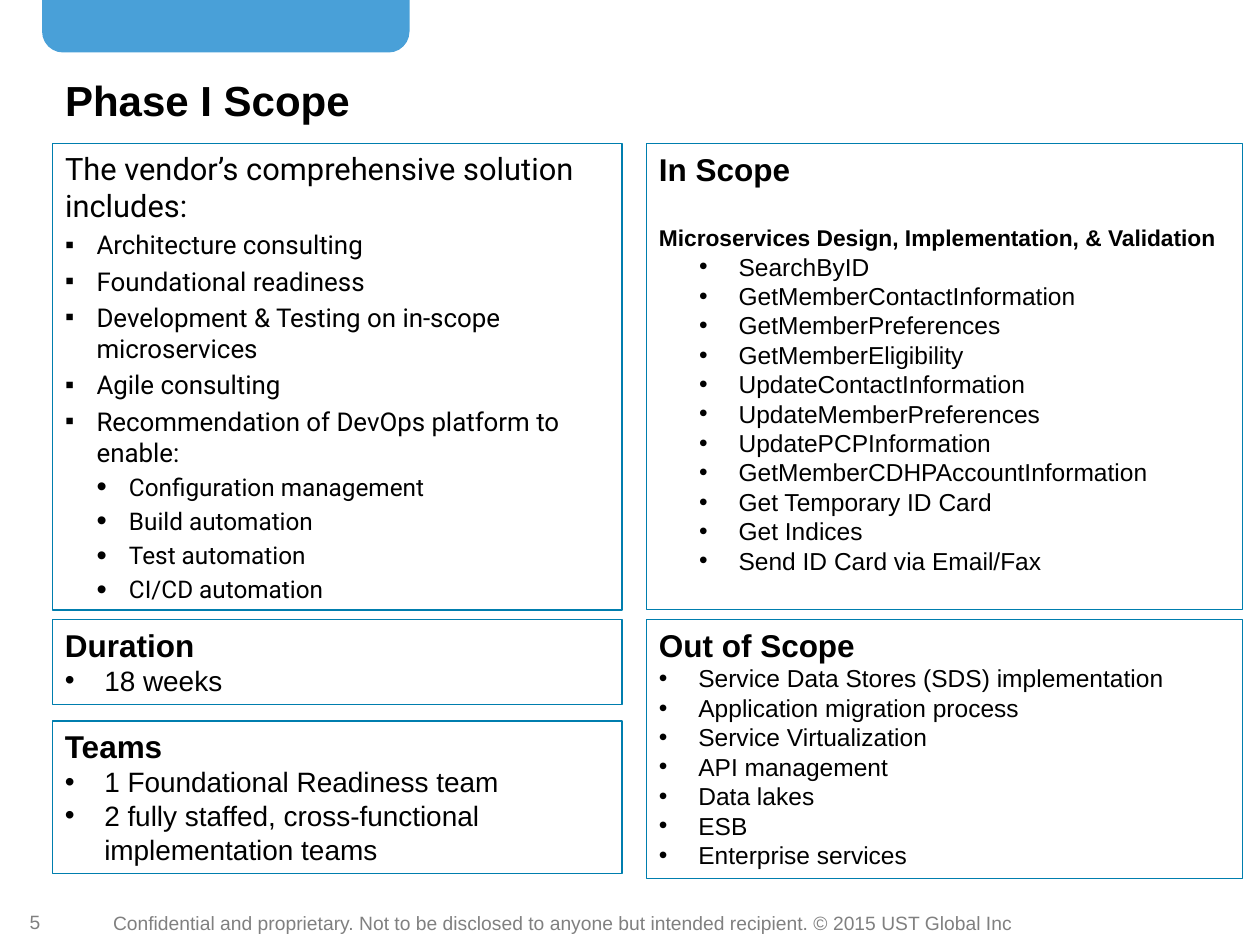
import dataclasses
import lxml.etree
import pptx
import pptx.dml.color
import pptx.enum.shapes
import pptx.enum.text
import pptx.oxml.ns
import pptx.util

Pt = pptx.util.Pt
qn = pptx.oxml.ns.qn
ANCHOR = pptx.enum.text.MSO_ANCHOR
ALIGN = pptx.enum.text.PP_ALIGN
SHAPE = pptx.enum.shapes.MSO_SHAPE


@dataclasses.dataclass(frozen=True)
class Theme:
    font: str = "Arial"
    solution_font: str = "Roboto"
    ink: str = "000000"
    muted: str = "808080"
    outline: str = "007EAE"
    tab: str = "49A0D8"
    title: float = 24
    heading: float = 18
    fact: float = 16
    item: float = 14
    subheading: float = 13
    footer: float = 11
    lead: float = 17.6
    service: float = 14.8
    subservice: float = 13.9


THEME = Theme()


def rgb(value):
    return pptx.dml.color.RGBColor.from_string(value)


def add_bullet(para, mark, margin, hanging, scale):
    props = para._p.get_or_add_pPr()
    props.set("marL", str(Pt(margin)))
    props.set("indent", str(-Pt(hanging)))
    if not mark:
        lxml.etree.SubElement(props, qn("a:buNone"))
        return
    lxml.etree.SubElement(props, qn("a:buSzPct"), val=str(scale * 1000))
    lxml.etree.SubElement(props, qn("a:buFont"), typeface=THEME.font)
    lxml.etree.SubElement(props, qn("a:buChar"), char=mark)


def write(frame, text, *, size, font=THEME.font, color=THEME.ink, bold=False,
          align=ALIGN.LEFT, level=0, before=0, mark="", margin=0, hanging=0, scale=100):
    first = frame.paragraphs[0]
    para = frame.add_paragraph() if first.runs else first
    add_bullet(para, mark, margin, hanging, scale)
    para.level = level
    para.alignment = align
    para.space_before = Pt(before)
    span = para.add_run()
    span.text = text
    span.font.name = font
    span.font.size = Pt(size)
    span.font.bold = bold
    span.font.color.rgb = rgb(color)


def place(shape, box):
    shape.left, shape.top, shape.width, shape.height = (Pt(value) for value in box)


def outline(shape):
    shape.line.color.rgb = rgb(THEME.outline)
    shape.line.width = Pt(0.75)


def add_tab(page, box):
    tab = page.shapes.add_shape(SHAPE.ROUND_2_SAME_RECTANGLE, *(Pt(value) for value in box))
    tab.rotation = 180
    tab.adjustments[0] = 0.4
    tab.shadow.inherit = False
    tab.fill.solid()
    tab.fill.fore_color.rgb = rgb(THEME.tab)
    tab.line.fill.background()


def add_footer(page, box, number, notice):
    left, top, width, height = box
    number_box = page.shapes.add_textbox(Pt(left), Pt(top + 2), Pt(27), Pt(height - 6))
    frame = number_box.text_frame
    frame.margin_left = frame.margin_right = frame.margin_top = frame.margin_bottom = 0
    frame.vertical_anchor = ANCHOR.MIDDLE
    frame.word_wrap = True
    write(frame, number, size=THEME.footer, color=THEME.muted, align=ALIGN.CENTER)
    notice_box = page.shapes.add_textbox(Pt(left + 51), Pt(top), Pt(width - 51), Pt(height))
    notice_box.text_frame.word_wrap = False
    write(notice_box.text_frame, notice, size=THEME.footer, color=THEME.muted)


def add_title(page, box, text):
    title = page.shapes.title
    place(title, box)
    frame = title.text_frame
    frame.auto_size = pptx.enum.text.MSO_AUTO_SIZE.NONE
    frame.vertical_anchor = ANCHOR.MIDDLE
    write(frame, text, size=THEME.title, bold=True)


def add_solution(page, box, lead, services, subservices):
    body = page.placeholders[1]
    place(body, box)
    outline(body)
    frame = body.text_frame
    frame.auto_size = pptx.enum.text.MSO_AUTO_SIZE.NONE
    write(frame, lead, size=THEME.lead, font=THEME.solution_font)
    for service in services:
        write(frame, service, size=THEME.service, font=THEME.solution_font,
              before=3, mark="▪", margin=18, hanging=18)
    for subservice in subservices:
        write(frame, subservice, size=THEME.subservice, font=THEME.solution_font, level=1,
              before=2.8, mark="•", margin=36.5, hanging=18.5, scale=120)


def add_panel(page, box, heading, items, size, subheading=None):
    panel = page.shapes.add_shape(SHAPE.RECTANGLE, *(Pt(value) for value in box))
    panel.shadow.inherit = False
    panel.fill.background()
    outline(panel)
    frame = panel.text_frame
    frame.word_wrap = True
    frame.vertical_anchor = ANCHOR.TOP
    write(frame, heading, size=THEME.heading, bold=True)
    level, margin = 0, 22.5
    if subheading:
        write(frame, subheading, size=THEME.subheading, bold=True, before=21)
        level, margin = 1, 45.5
    for item in items:
        write(frame, item, size=size, level=level, mark="•", margin=margin, hanging=22.5)


def main():
    deck = pptx.Presentation()
    deck.slide_width, deck.slide_height = Pt(720), Pt(540)
    page = deck.slides.add_slide(deck.slide_layouts[1])
    left, left_width = 30, 325.5
    right, right_width = 369.5, 340.5
    upper, upper_height, lower = 82, 266.5, 354

    add_tab(page, (24, 0, 210, 30))
    add_footer(page, (6.5, 517, 587, 21), "5",
               "Confidential and proprietary. Not to be disclosed to anyone but intended "
               "recipient. © 2015 UST Global Inc")
    add_title(page, (left, 36, 664.5, 42), "Phase I Scope")
    add_solution(
        page, (left, upper, left_width, upper_height),
        "The vendor’s comprehensive solution includes:",
        ["Architecture consulting", "Foundational readiness",
         "Development & Testing on in-scope microservices", "Agile consulting",
         "Recommendation of DevOps platform to enable:"],
        ["Configuration management", "Build automation", "Test automation",
         "CI/CD automation"])
    add_panel(
        page, (right, upper, right_width, upper_height), "In Scope",
        ["SearchByID", "GetMemberContactInformation", "GetMemberPreferences",
         "GetMemberEligibility", "UpdateContactInformation", "UpdateMemberPreferences",
         "UpdatePCPInformation", "GetMemberCDHPAccountInformation",
         "Get Temporary ID Card", "Get Indices", "Send ID Card via Email/Fax"],
        THEME.item, subheading="Microservices Design, Implementation, & Validation")
    add_panel(page, (left, lower, left_width, 48.5), "Duration", ["18 weeks"], THEME.fact)
    add_panel(
        page, (left, 412, left_width, 87), "Teams",
        ["1 Foundational Readiness team",
         "2 fully staffed, cross-functional implementation teams"], THEME.fact)
    add_panel(
        page, (right, lower, right_width, 148), "Out of Scope",
        ["Service Data Stores (SDS) implementation", "Application migration process",
         "Service Virtualization", "API management", "Data lakes", "ESB",
         "Enterprise services"], THEME.item)
    deck.save("out.pptx")


if __name__ == "__main__":
    main()
